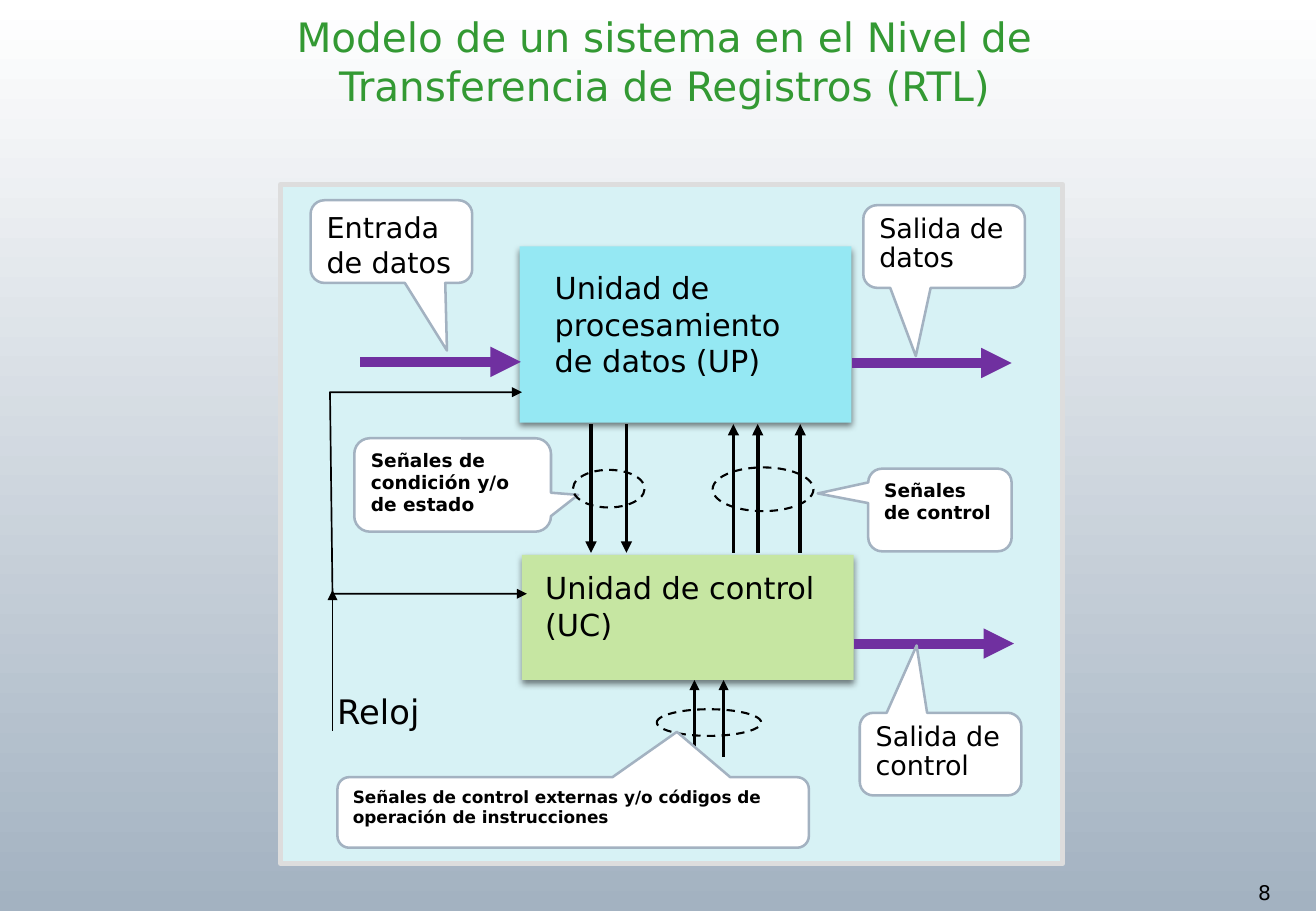
from lxml import etree
from pptx import Presentation
from pptx.dml.color import RGBColor
from pptx.enum.dml import MSO_LINE
from pptx.enum.shapes import MSO_CONNECTOR, MSO_SHAPE
from pptx.enum.text import MSO_ANCHOR, MSO_AUTO_SIZE, PP_ALIGN
from pptx.oxml.ns import qn
from pptx.util import Pt

RECT, ELLIPSE = MSO_SHAPE.RECTANGLE, MSO_SHAPE.OVAL
CALLOUT = MSO_SHAPE.ROUNDED_RECTANGULAR_CALLOUT
STRAIGHT, DASH = MSO_CONNECTOR.STRAIGHT, MSO_LINE.DASH
TOP, BOTTOM = MSO_ANCHOR.TOP, MSO_ANCHOR.BOTTOM
LEFT, CENTER = PP_ALIGN.LEFT, PP_ALIGN.CENTER
NO_FIT = MSO_AUTO_SIZE.NONE

FONT = "DejaVu Sans"
BLACK, WHITE, GREEN, STEEL = "000000", "FFFFFF", "339933", "A3B2C1"
PURPLE, FRAME, FRAME_EDGE = "7030A0", "D7F2F5", "DDDDDD"
UP_FILL, UC_FILL = "95E8F3", "C6E6A2"


def color(value):
    return RGBColor.from_string(value)


def write(shape, text, size, bold=False, hue=BLACK, align=LEFT, anchor=TOP,
          wrap=True, spacing=None):
    tf = shape.text_frame
    frame_format = {"word_wrap": wrap, "auto_size": NO_FIT, "vertical_anchor": anchor}
    for name, value in frame_format.items():
        setattr(tf, name, value)
    tf.text = text
    for p in tf.paragraphs:
        p.alignment, p.line_spacing = align, spacing
        for r in p.runs:
            for name, value in {"name": FONT, "size": Pt(size), "bold": bold}.items():
                setattr(r.font, name, value)
            r.font.color.rgb = color(hue)


def add_label(s, x, y, w, h, text, size):
    sp = s.shapes.add_textbox(Pt(x), Pt(y), Pt(w), Pt(h))
    write(sp, text, size, wrap=False)


def add_box(s, kind, x, y, w, h, fill=None, line=None, width=1):
    sp = s.shapes.add_shape(kind, Pt(x), Pt(y), Pt(w), Pt(h))
    sp.shadow.inherit = False
    if fill:
        sp.fill.solid()
        sp.fill.fore_color.rgb = color(fill)
    else:
        sp.fill.background()
    if line:
        sp.line.color.rgb = color(line)
        sp.line.width = Pt(width)
    else:
        sp.line.fill.background()
    return sp


def add_ellipse(s, x, y, w, h):
    sp = add_box(s, ELLIPSE, x, y, w, h, line=BLACK, width=1.25)
    sp.line.dash_style = DASH


def add_unit(s, x, y, w, h, fill, text, margins):
    sp = add_box(s, RECT, x, y, w, h, fill)
    write(sp, text, 18)
    tf = sp.text_frame
    tf.margin_left, tf.margin_top, tf.margin_right = [Pt(m) for m in margins]
    effects = sp._element.spPr.find(qn("a:effectLst"))
    shadow = etree.SubElement(effects, qn("a:outerShdw"), blurRad=str(Pt(4)),
                              dist=str(Pt(2)), dir="5400000", rotWithShape="0")
    tint = etree.SubElement(shadow, qn("a:srgbClr"), val=BLACK)
    etree.SubElement(tint, qn("a:alpha"), val="50000")


def add_callout(s, x, y, w, h, tip, text, size, bold=False, spacing=None):
    sp = add_box(s, CALLOUT, x, y, w, h, WHITE, STEEL, 1.5)
    sp.adjustments[0], sp.adjustments[1] = tip
    write(sp, text, size, bold, spacing=spacing)


def style_arrow(sp, hue, width, ends=("tailEnd",)):
    sp.line.color.rgb = color(hue)
    sp.line.width = Pt(width)
    for end in ends:
        etree.SubElement(sp.line._get_or_add_ln(), qn("a:" + end), type="triangle")


def add_arrow(s, x1, y1, x2, y2, hue=BLACK, width=2.25):
    c = s.shapes.add_connector(STRAIGHT, Pt(x1), Pt(y1), Pt(x2), Pt(y2))
    style_arrow(c, hue, width)
    etree.SubElement(c._element.spPr, qn("a:effectLst"))


def add_clock(s, x, y):
    points = [(143.1, 123.1), (29.3, 123.1), (30.8, 242.6), (146, 242.6)]
    path = [(Pt(x + px), Pt(y + py)) for px, py in points]
    builder = s.shapes.build_freeform(*path[0])
    builder.add_line_segments(path[1:], close=False)
    sp = builder.convert_to_shape()
    sp.shadow.inherit = False
    sp.fill.background()
    style_arrow(sp, BLACK, 1, ("headEnd", "tailEnd"))
    add_arrow(s, x + 30.8, y + 323.9, x + 30.8, y + 240.4, width=1)
    add_label(s, x + 26.5, y + 296.6, 67.7, 33.8, "Reloj", 20)


def add_diagram(s, x, y, w, h):
    add_box(s, RECT, x, y, w, h, FRAME, FRAME_EDGE, 3)

    # Processing and control units
    add_unit(s, x + 141.7, y + 36.7, 196.6, 104.4, UP_FILL,
             "Unidad de procesamiento de datos (UP)", (20.8, 13.6, 27.5))
    add_unit(s, x + 143.1, y + 219.5, 196.6, 74.2, UC_FILL,
             "Unidad de control\n(UC)", (13.7, 8.7, 7.2))
    add_clock(s, x, y)

    # Data and control flow
    for x1, x2, level in [(47.3, 142.4, 105.1), (338.9, 433.3, 105.8),
                          (339.7, 434.7, 272.1)]:
        add_arrow(s, x + x1, y + level, x + x2, y + level, PURPLE, 6)

    # External control signals
    for offset in (245.3, 262.6):
        add_arrow(s, x + offset, y + 339.1, x + offset, y + 293.7, width=2)
    add_ellipse(s, x + 223, y + 311, 61.9, 15.8)

    # Callouts for the data and control flow
    for left, top, tip, text, size, spacing in [
            (17.8, 9.3, (0.344, 1.318), "Entrada de datos", 17, None),
            (345.4, 12.2, (-0.175, 1.325), "Salida de datos", 16, 0.9),
            (343.3, 313.1, (-0.148, -1.314), "Salida de control", 16, 0.9)]:
        add_callout(s, x + left, y + top, 95.8, 49, tip, text, size, spacing=spacing)

    # Callouts for the signals
    for left, top, width, height, tip, text, size in [
            (348.3, 168.4, 85, 49, (-0.852, -0.2), "Señales de control", 11),
            (43.7, 150.4, 116.6, 55.4, (0.638, 0.106),
             "Señales de condición y/o de estado", 11),
            (33.7, 351.3, 279.4, 41.8, (0.22, -1.143),
             "Señales de control externas y/o códigos de operación de instrucciones", 10)]:
        add_callout(s, x + left, y + top, width, height, tip, text, size, bold=True)

    # Status signals down, control signals up
    upper, lower = y + 142, y + 218.3
    for offset in (184, 205):
        add_arrow(s, x + offset, upper, x + offset, lower)
    for offset in (268.4, 282.8, 308):
        add_arrow(s, x + offset, lower, x + offset, upper)
    add_ellipse(s, x + 173.3, y + 169.1, 42.5, 22.3)
    add_ellipse(s, x + 256.1, y + 167.7, 59.8, 25.9)


def add_title(s, x, y, w, h, text):
    sp = s.shapes.title
    sp.left, sp.top, sp.width, sp.height = Pt(x), Pt(y), Pt(w), Pt(h)
    write(sp, text, 24, hue=GREEN, align=CENTER, anchor=BOTTOM)


def add_background(s):
    fill = s.background.fill
    fill.gradient()
    fill.gradient_angle = 270
    for stop, position, hue in zip(fill.gradient_stops, (0, 1), (WHITE, STEEL)):
        stop.position = position
        stop.color.rgb = color(hue)


def main():
    prs = Presentation()
    prs.slide_width, prs.slide_height = Pt(780), Pt(540)
    s = prs.slides.add_slide(prs.slide_layouts[5])
    add_background(s)
    add_title(s, 28.1, 5.8, 731.5, 62.6,
              "Modelo de un sistema en el Nivel de\vTransferencia de Registros (RTL)")
    add_diagram(s, 166.3, 109.4, 463.7, 402.5)
    add_label(s, 738.7, 518.4, 41, 21.6, "8", 12)
    prs.save("out.pptx")


if __name__ == "__main__":
    main()
